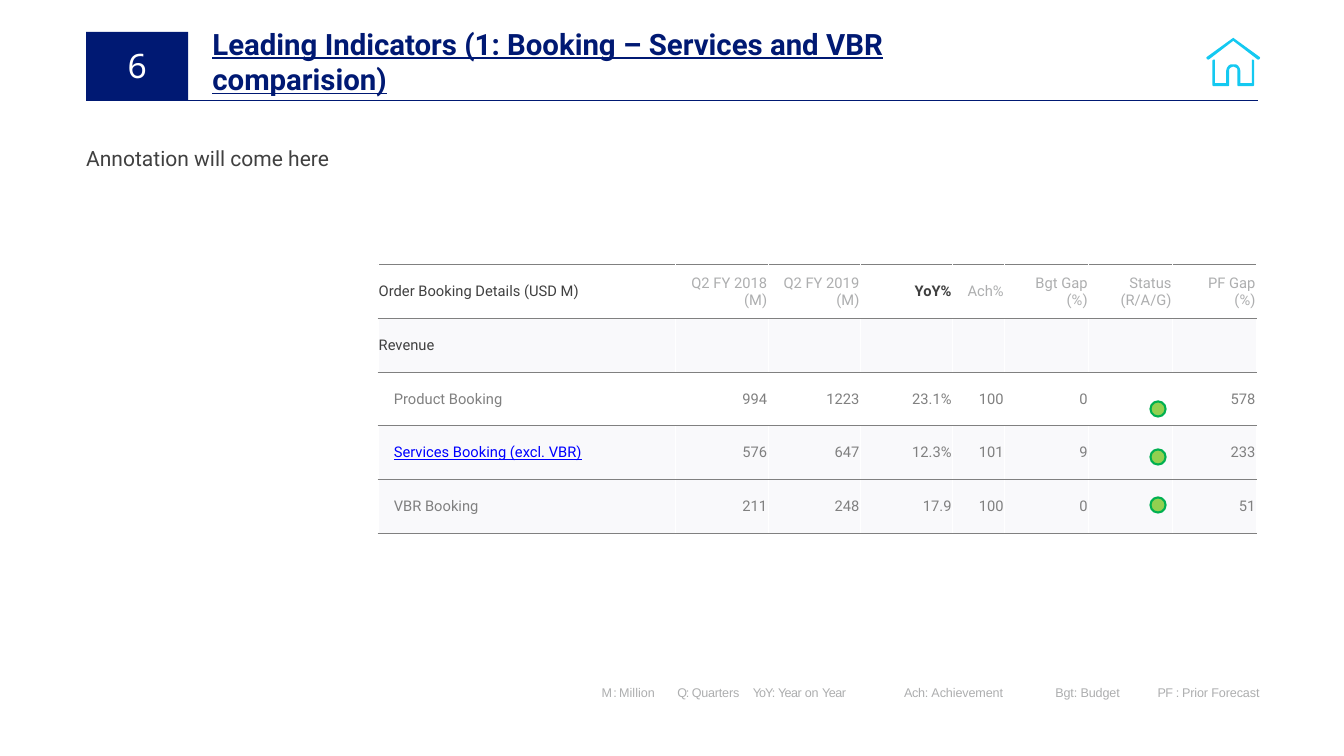
from pptx import Presentation
from pptx.dml.color import RGBColor
from pptx.enum.shapes import MSO_CONNECTOR, MSO_SHAPE
from pptx.enum.text import MSO_ANCHOR, PP_ALIGN
from pptx.oxml.xmlchemy import OxmlElement
from pptx.util import Pt

NAVY, CYAN, DARK = "001973", "14C9F1", "404040"
GREY, PALE, STRIPE, WHITE = "808080", "ADAEAF", "F9F9FB", "FFFFFF"
LEFT, RIGHT = 82.08, 1198.08


def color(code):
    return RGBColor.from_string(code)


def paint(shape, fill, line=None, width=0):
    shape.shadow.inherit = False
    shape.fill.solid()
    shape.fill.fore_color.rgb = color(fill)
    if line:
        shape.line.color.rgb = color(line)
        shape.line.width = Pt(width)
    else:
        shape.line.fill.background()


def add_run(para, text, size, ink, face="Roboto", bold=False, under=False, gap=0):
    run = para.add_run()
    run.text = text
    font = run.font
    font.size, font.name, font.bold, font.underline = Pt(size), face, bold, under
    font.color.rgb = color(ink)
    if gap:
        run._r.get_or_add_rPr().set("spc", str(round(gap * 100)))


def set_frame(frame, top=0.72):
    frame.word_wrap = True
    frame.vertical_anchor = MSO_ANCHOR.TOP
    frame.margin_left = frame.margin_right = frame.margin_bottom = 0
    frame.margin_top = Pt(top)
    return frame.paragraphs[0]


def add_box(slide, x, y, w, h):
    box = slide.shapes.add_textbox(Pt(x), Pt(y), Pt(w), Pt(h))
    return set_frame(box.text_frame)


def add_header(slide, x, y, w, h):
    # Title
    para = add_box(slide, x + 120.24, y - 6.48, 804.24, 69.12)
    para.space_before = Pt(1)
    add_run(para, "Leading Indicators (1: Booking – Services and VBR comparision)",
            28, NAVY, bold=True, under=True)
    # Rule under the title
    rule = slide.shapes.add_connector(
        MSO_CONNECTOR.STRAIGHT, Pt(x), Pt(y + h), Pt(x + w), Pt(y + h))
    rule.line.color.rgb = color(NAVY)
    rule.line.width = Pt(0.75)
    rule._element.spPr.append(OxmlElement("a:effectLst"))
    # Number badge
    badge = slide.shapes.add_shape(MSO_SHAPE.RECTANGLE, Pt(x), Pt(y), Pt(97.2), Pt(h))
    paint(badge, NAVY)
    para = set_frame(badge.text_frame, 12.96)
    para.alignment = PP_ALIGN.CENTER
    add_run(para, "6", 32, WHITE, "Noto Sans", gap=-2)


# Left halves of the home icon, as offsets from its top middle (1/100 inch)
ROOF = [(0, 0), (-34.5, 25), (-35.5, 26), (-35, 28), (-33, 29), (-32, 28.5), (0, 4)]
WALLS = [(0, 38), (-2.5, 39), (-4.5, 40), (-5.5, 42), (-5.5, 63), (-6.5, 64),
         (-26.5, 64), (-27.5, 63), (-27.5, 30), (-26.5, 29), (-24.5, 29),
         (-24.5, 60), (-9.5, 60), (-9.5, 44), (-8.5, 40), (-6.5, 37),
         (-3.5, 35), (0, 35)]


def add_home(slide, mid, top):
    for half in (ROOF, WALLS):
        whole = half + [(-dx, dy) for dx, dy in reversed(half)]
        dots = [(Pt(mid + dx * 0.72), Pt(top + dy * 0.72)) for dx, dy in whole]
        pen = slide.shapes.build_freeform(*dots[0])
        pen.add_line_segments(dots[1:], close=True)
        paint(pen.convert_to_shape(), CYAN)


def add_note(slide, x, y, w, h):
    para = add_box(slide, x, y, w, h)
    para.line_spacing = 1.5
    add_run(para, "Annotation will come here", 20, DARK)


WIDTHS = [283.68, 87.84, 87.84, 87.84, 49.68, 79.92, 79.92, 79.92]
ROWS = [
    ["Order Booking Details (USD M)", "Q2 FY 2018\n(M)", "Q2 FY 2019\n(M)", "YoY%",
     "Ach%", "Bgt Gap\n(%)", "Status\n(R/A/G)", "PF Gap\n(%)"],
    ["Revenue"] + [""] * 7,
    ["Product Booking", "994", "1223", "23.1%", "100", "0", "", "578"],
    ["Services Booking (excl. VBR)", "576", "647", "12.3%", "101", "9", "", "233"],
    ["VBR Booking", "211", "248", "17.9", "100", "0", "", "51"],
]
FILLS = [WHITE, STRIPE, WHITE, STRIPE, STRIPE]


def add_edges(cell):
    props = cell._tc.get_or_add_tcPr()
    edges = [("L", WHITE, 1), ("R", WHITE, 1), ("T", GREY, 0.25), ("B", GREY, 0.25)]
    for spot, (side, ink, width) in enumerate(edges):
        edge = OxmlElement(f"a:ln{side}")
        edge.set("w", str(Pt(width)))
        fill = OxmlElement("a:solidFill")
        tone = OxmlElement("a:srgbClr")
        tone.set("val", ink)
        fill.append(tone)
        edge.append(fill)
        props.insert(spot, edge)


def fill_cell(cell, text, r, c):
    cell.fill.solid()
    cell.fill.fore_color.rgb = color(FILLS[r])
    add_edges(cell)
    cell.vertical_anchor = MSO_ANCHOR.MIDDLE
    cell.margin_left = cell.margin_right = cell.margin_top = Pt(0.72)
    cell.margin_bottom = 0
    if not text:
        return
    link = text.startswith("Services")
    strong = text == "YoY%"
    if link:
        ink = "0000FF"
    elif strong or (c == 0 and r < 2):
        ink = DARK
    else:
        ink = GREY if r else PALE
    frame = cell.text_frame
    for i, part in enumerate(text.split("\n")):
        para = frame.add_paragraph() if i else frame.paragraphs[0]
        if c:
            para.alignment = PP_ALIGN.RIGHT
        elif r > 1:
            para._p.get_or_add_pPr().set("marL", str(Pt(14.4)))
        add_run(para, part, 14, ink, bold=strong, under=link)


def add_grid(slide, x, y, high):
    table = slide.shapes.add_table(
        len(ROWS), len(WIDTHS), Pt(x), Pt(y), Pt(sum(WIDTHS)), Pt(high * len(ROWS))).table
    table.first_row = table.horz_banding = False
    for col, width in zip(table.columns, WIDTHS):
        col.width = Pt(width)
    for r, row in enumerate(ROWS):
        table.rows[r].height = Pt(high)
        for c, text in enumerate(row):
            fill_cell(table.cell(r, c), text, r, c)
    # Status lights
    for i in range(3):
        light = slide.shapes.add_shape(
            MSO_SHAPE.OVAL, Pt(x + 735.84), Pt(y + 130.32 + 45.72 * i), Pt(14.4), Pt(14.4))
        paint(light, "92D050", "00B050", 2)


# Each entry: tab stop, then runs with their letter spacing
TERMS = [
    (182.2, [("M : ", -1.1), ("Million", 0)]),
    (254.2, [("Q: ", -1.1), ("Quarters", -0.2)]),
    (326.2, [("YoY: ", -0.9), ("Year ", -0.5), ("on ", -0.1), ("Year", -0.5)]),
    (470.2, [("Ach: ", -0.3), ("Achievement", -0.1)]),
    (614.2, [("Bgt: Budget", -0.1)]),
    (711.8, [("PF ", -0.7), (": ", -0.8), ("Prior Forecast", -0.1)]),
]


def add_legend(slide, x, y, w, h):
    para = add_box(slide, x, y, w, h)
    para.space_before = Pt(1)
    stops = OxmlElement("a:tabLst")
    para._p.get_or_add_pPr().append(stops)
    for spot, runs in TERMS:
        stop = OxmlElement("a:tab")
        stop.set("pos", str(Pt(spot)))
        stop.set("algn", "l")
        stops.append(stop)
        for i, (text, gap) in enumerate(runs):
            add_run(para, text if i else "\t" + text, 12, PALE, "Arial", gap=gap)


def main():
    deck = Presentation()
    deck.slide_width, deck.slide_height = Pt(1280.16), Pt(720)
    slide = deck.slides.add_slide(deck.slide_layouts[6])
    add_header(slide, LEFT, 30.24, RIGHT - LEFT, 65.52)
    add_home(slide, 1174.68, 36)
    add_note(slide, LEFT, 126, 922.32, 33.84)
    add_grid(slide, 360, 252, 51.12)
    add_legend(slide, 390.96, 651.6, 809.28, 20.88)
    deck.save("out.pptx")


if __name__ == "__main__":
    main()
